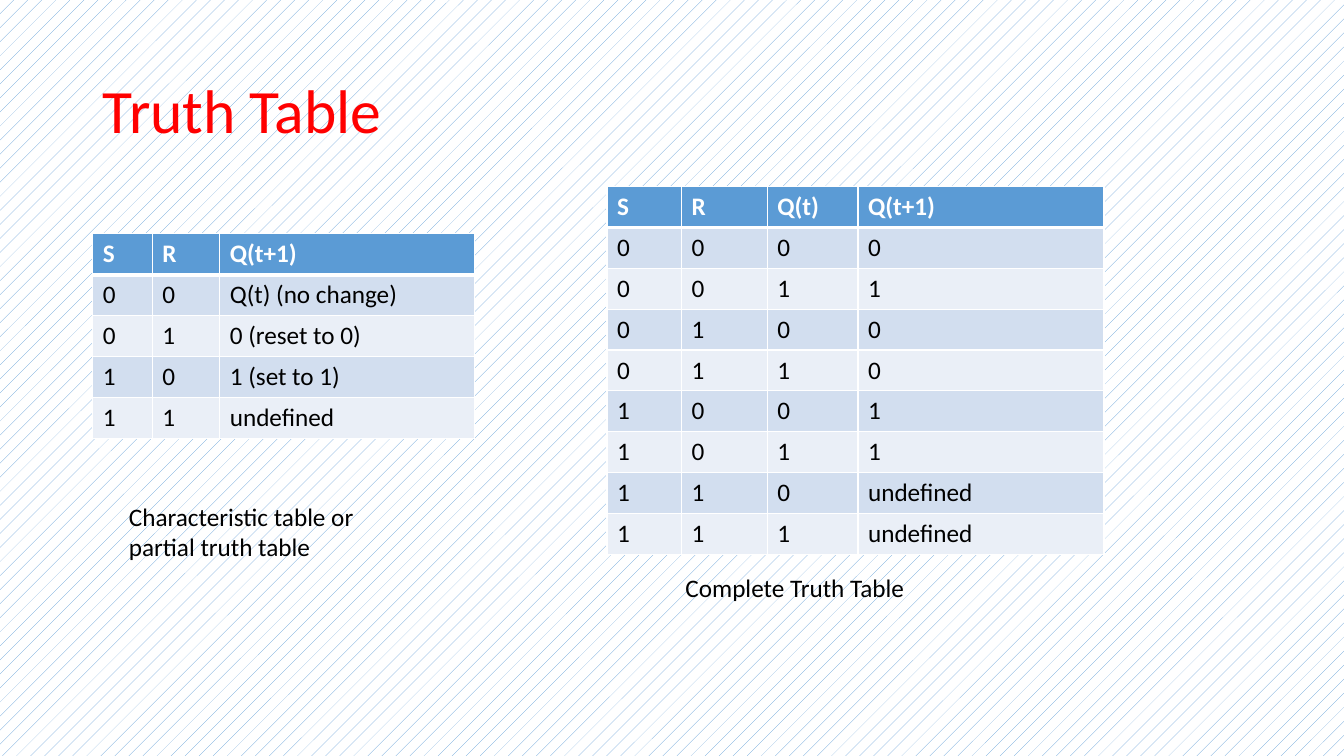
from lxml.etree import SubElement
from pptx import Presentation
from pptx.dml.color import RGBColor
from pptx.enum.dml import MSO_PATTERN
from pptx.enum.text import MSO_ANCHOR, PP_ALIGN
from pptx.oxml.ns import qn
from pptx.util import Inches, Pt

COLORS = {
    "title": "FF0000",
    "header": "5B9BD5",
    "odd_row": "D2DEEF",
    "even_row": "EAEFF7",
    "white": "FFFFFF",
    "text": "000000",
}
CHARACTERISTIC_ROWS = [
    ["S", "R", "Q(t+1)"],
    ["0", "0", "Q(t) (no change)"],
    ["0", "1", "0 (reset to 0)"],
    ["1", "0", "1 (set to 1)"],
    ["1", "1", "undefined"],
]
COMPLETE_ROWS = [
    ["S", "R", "Q(t)", "Q(t+1)"],
    ["0", "0", "0", "0"],
    ["0", "0", "1", "1"],
    ["0", "1", "0", "0"],
    ["0", "1", "1", "0"],
    ["1", "0", "0", "1"],
    ["1", "0", "1", "1"],
    ["1", "1", "0", "undefined"],
    ["1", "1", "1", "undefined"],
]
ROW_HEIGHT = 0.4


def color(name):
    """Return the named colour."""
    return RGBColor.from_string(COLORS[name])


def write(frame, text, size=18, color_name="text", bold=False):
    """Put one formatted paragraph into a text frame."""
    frame.text = text
    paragraph = frame.paragraphs[0]
    paragraph.alignment = PP_ALIGN.LEFT
    font = paragraph.runs[0].font
    for name, value in {"name": "Calibri", "size": Pt(size), "bold": bold}.items():
        setattr(font, name, value)
    font.color.rgb = color(color_name)
    return paragraph


def set_background(slide):
    """Give the slide its fine blue pattern."""
    fill = slide.background.fill
    fill.patterned()
    fill.pattern = MSO_PATTERN.PERCENT_5
    fill.fore_color.rgb = color("header")
    fill.back_color.rgb = color("white")


def add_title(slide, text):
    """Place and format the slide title."""
    title = slide.shapes.title
    place = {"left": 0.92, "top": 0.4, "width": 11.5, "height": 1.45}
    for name, value in place.items():
        setattr(title, name, Inches(value))
    title.text_frame.vertical_anchor = MSO_ANCHOR.MIDDLE
    write(title.text_frame, text, 44, "title").line_spacing = 0.9


def set_borders(cell, top, bottom):
    """Draw white borders around a cell, with widths in points."""
    properties = cell._tc.get_or_add_tcPr()
    for side, width in {"L": 1, "R": 1, "T": top, "B": bottom}.items():
        line = SubElement(properties, qn(f"a:ln{side}"), w=str(Pt(width)))
        fill = SubElement(line, qn("a:solidFill"))
        SubElement(fill, qn("a:srgbClr"), val=COLORS["white"])


def add_truth_table(slide, left, top, widths, rows):
    """Add a banded table with a header row."""
    table = slide.shapes.add_table(
        len(rows), len(widths), Inches(left), Inches(top),
        Inches(sum(widths)), Inches(ROW_HEIGHT * len(rows)),
    ).table
    for column, width in zip(table.columns, widths):
        column.width = Inches(width)
    for row_index, values in enumerate(rows):
        header = row_index == 0
        band = "header" if header else ("even_row", "odd_row")[row_index % 2]
        for column_index, value in enumerate(values):
            cell = table.cell(row_index, column_index)
            set_borders(cell, 3 if row_index == 1 else 1, 3 if header else 1)
            cell.fill.solid()
            cell.fill.fore_color.rgb = color(band)
            write(cell.text_frame, value, color_name="white" if header else "text", bold=header)


def add_caption(slide, left, top, width, height, text):
    """Add a wrapped caption below a table."""
    box = slide.shapes.add_textbox(Inches(left), Inches(top), Inches(width), Inches(height))
    box.text_frame.word_wrap = True
    write(box.text_frame, text)


def main():
    """Build and save the slide."""
    presentation = Presentation()
    presentation.slide_width = Inches(13.33)
    presentation.slide_height = Inches(7.5)
    slide = presentation.slides.add_slide(presentation.slide_layouts[5])
    set_background(slide)
    add_title(slide, "Truth Table")
    add_truth_table(slide, 0.92, 2.32, [0.59, 0.67, 2.53], CHARACTERISTIC_ROWS)
    add_truth_table(slide, 6.02, 1.85, [0.74, 0.85, 0.9, 2.44], COMPLETE_ROWS)
    add_caption(slide, 1.18, 4.92, 2.58, 0.71, "Characteristic table or partial truth table")
    add_caption(slide, 6.7, 5.63, 2.88, 0.4, "Complete Truth Table")
    presentation.save("out.pptx")


if __name__ == "__main__":
    main()
